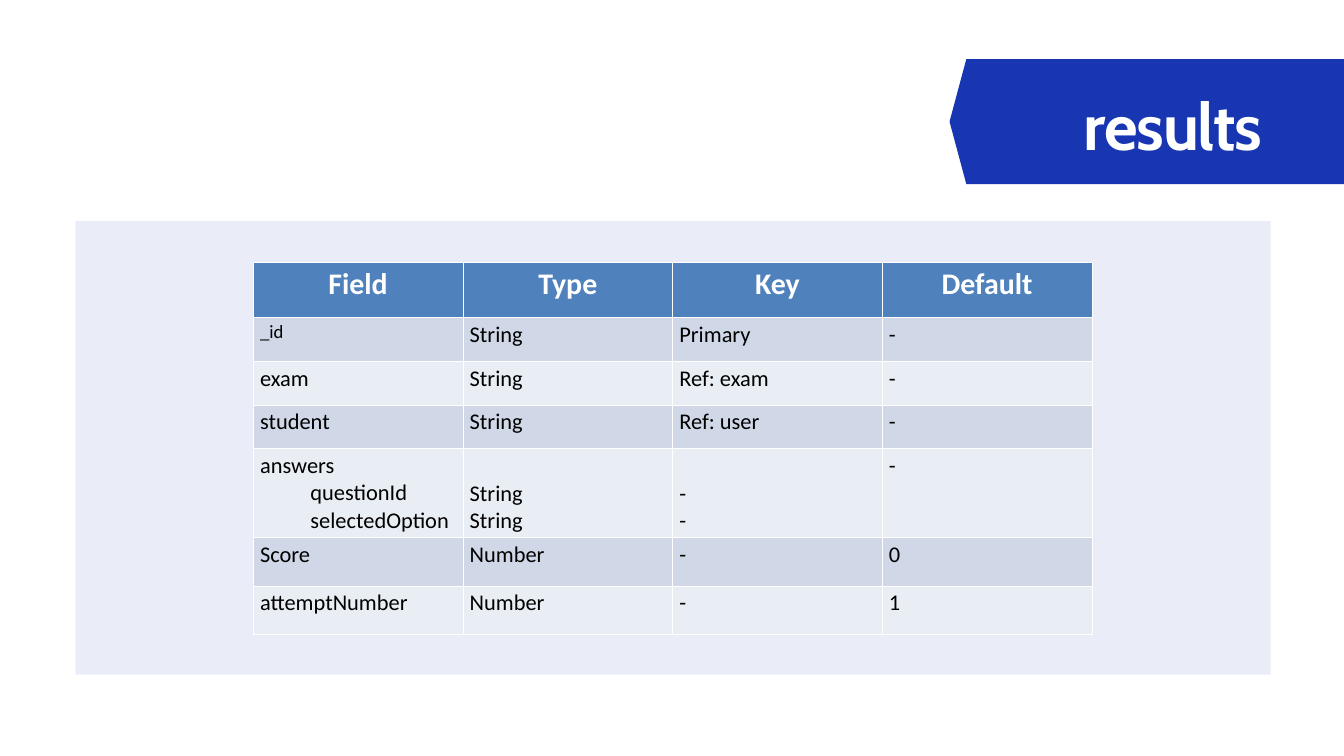
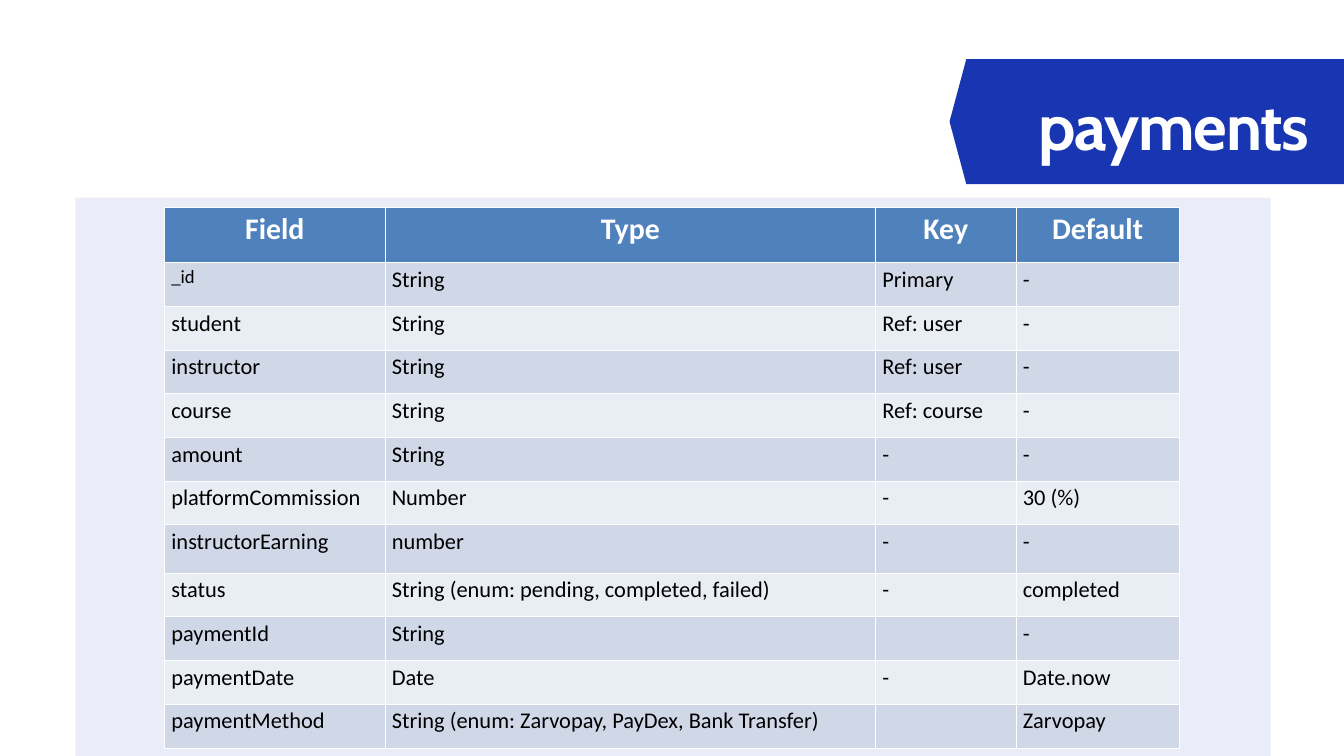
import pptx
import pptx.dml.color
import pptx.enum.shapes
import pptx.enum.text
import pptx.oxml
import pptx.oxml.ns
import pptx.slide
import pptx.table
import pptx.util
from dataclasses import dataclass

Inches = pptx.util.Inches
Pt = pptx.util.Pt
Align = pptx.enum.text.PP_ALIGN


# Colours, fonts and type sizes
@dataclass(frozen=True)
class Theme:
    brand: str = "1836B2"
    white: str = "FFFFFF"
    black: str = "000000"
    header_fill: str = "4F81BD"
    band_fills: tuple[str, str] = ("D0D8E8", "E9EDF4")
    panel_opacity: int = 9
    title_font: str = "Cabin"
    table_font: str = "Calibri"
    title_size: int = 70
    title_line: int = 98
    title_tracking: float = -1.4
    header_size: int = 32
    body_size: int = 24
    id_size: int = 20


THEME = Theme()
HEADINGS = ("Field", "Type", "Key", "Default")
HEADER_HEIGHT = 0.82
ROW_HEIGHT = 0.65
TALL_ROW = 0.72
LINE_HEIGHT = 0.41
CELL_MARGIN = 0.05
NESTED_INDENT = 0.75


@dataclass(frozen=True)
class FieldRow:
    name: str
    kind: str = ""
    key: str = "-"
    default: str = "-"
    height: float = ROW_HEIGHT
    nested: tuple["FieldRow", ...] = ()


@dataclass(frozen=True)
class Schema:
    title: str
    title_left: float
    panel_top: float
    panel_height: float
    table_left: float
    table_top: float
    columns: tuple[float, ...]
    rows: tuple[FieldRow, ...]


ID_ROW = FieldRow("_id", "String", "Primary")

SCHEMAS = (
    Schema(
        "results", 16.13, 3.29, 6.75, 3.77, 3.91, (3.12,) * 4,
        (
            ID_ROW,
            FieldRow("exam", "String", "Ref: exam"),
            FieldRow("student", "String", "Ref: user"),
            FieldRow("answers", key="", height=1.29, nested=(
                FieldRow("questionId", "String"),
                FieldRow("selectedOption", "String"),
            )),
            FieldRow("Score", "Number", default="0", height=TALL_ROW),
            FieldRow("attemptNumber", "Number", default="1", height=TALL_ROW),
        ),
    ),
    Schema(
        "payments", 15.46, 2.94, 8.31, 2.45, 3.09, (3.28, 7.3, 2.09, 2.43),
        (
            ID_ROW,
            FieldRow("student", "String", "Ref: user"),
            FieldRow("instructor", "String", "Ref: user"),
            FieldRow("course", "String", "Ref: course"),
            FieldRow("amount", "String"),
            FieldRow("platformCommission", "Number", default="30 (%)"),
            FieldRow("instructorEarning", "number", height=TALL_ROW),
            FieldRow("status", "String (enum: pending, completed, failed)",
                     default="completed"),
            FieldRow("paymentId", "String", key=""),
            FieldRow("paymentDate", "Date", default="Date.now"),
            FieldRow("paymentMethod", "String (enum: Zarvopay, PayDex, Bank Transfer)",
                     key="", default="Zarvopay"),
        ),
    ),
)


def rgb(value: str) -> pptx.dml.color.RGBColor:
    return pptx.dml.color.RGBColor.from_string(value)


def style_font(font, name: str, size: int, color: str, bold: bool) -> None:
    font.name, font.size, font.bold = name, Pt(size), bold
    font.color.rgb = rgb(color)


def paint(shape, color: str) -> None:
    shape.fill.solid()
    shape.fill.fore_color.rgb = rgb(color)
    shape.line.fill.background()
    shape.shadow.inherit = False


# Arrow-shaped tag behind the title, running off the right edge
def draw_title(page: pptx.slide.Slide, text: str, left: float) -> None:
    outline = ((14.38, 0.88), (20.79, 0.88), (21.04, 1.81),
               (20.79, 2.74), (14.38, 2.74), (14.13, 1.81))
    points = [(Inches(x), Inches(y)) for x, y in outline]
    builder = page.shapes.build_freeform(*points[0])
    builder.add_line_segments(points[1:], close=True)
    tag = builder.convert_to_shape()
    paint(tag, THEME.brand)

    title = page.shapes.title
    title.element.addprevious(tag.element)
    title.left, title.top = Inches(left), Inches(1.07)
    title.width, title.height = Inches(4.95), Inches(1.29)
    frame = title.text_frame
    frame.text = text
    frame.word_wrap = True
    frame.auto_size = pptx.enum.text.MSO_AUTO_SIZE.NONE
    frame.vertical_anchor = pptx.enum.text.MSO_ANCHOR.TOP
    frame.margin_left = frame.margin_right = frame.margin_top = frame.margin_bottom = 0
    para = frame.paragraphs[0]
    para.alignment = Align.LEFT
    para.line_spacing = Pt(THEME.title_line)
    span = para.runs[0]
    style_font(span.font, THEME.title_font, THEME.title_size, THEME.white, True)
    span.font.language_id = None
    span_properties = span.font._element
    span_properties.set("spc", str(round(THEME.title_tracking * 100)))


# Translucent panel behind the table
def draw_panel(page: pptx.slide.Slide, top: float, height: float) -> None:
    panel = page.shapes.add_shape(
        pptx.enum.shapes.MSO_SHAPE.RECTANGLE,
        Inches(1.12), Inches(top), Inches(17.79), Inches(height))
    paint(panel, THEME.brand)
    color = panel.element.spPr.find(".//" + pptx.oxml.ns.qn("a:srgbClr"))
    alpha = pptx.oxml.parse_xml(
        f'<a:alpha {pptx.oxml.ns.nsdecls("a")} val="{THEME.panel_opacity * 1000}"/>')
    color.append(alpha)


def fill_cell(cell: pptx.table._Cell, lines: list[str], fill: str, size: int,
              color: str, bold: bool = False, align=Align.LEFT) -> None:
    cell.fill.solid()
    cell.fill.fore_color.rgb = rgb(fill)
    cell.text_frame.text = "\n".join(lines)
    for para in cell.text_frame.paragraphs:
        para.alignment = align
        style_font(para.font, THEME.table_font, size, color, bold)
        for span in para.runs:
            style_font(span.font, THEME.table_font, size, color, bold)


def fill_row(table: pptx.table.Table, index: int, row: FieldRow) -> None:
    fill = THEME.band_fills[(index - 1) % 2]
    columns = [
        [row.name, *(child.name for child in row.nested)],
        [row.kind, *(child.kind for child in row.nested)],
        [row.key, *(child.key for child in row.nested)],
        [row.default],
    ]
    for column, lines in enumerate(columns):
        cell = table.cell(index, column)
        # Nested values start one line down, level with their names
        if row.nested and not lines[0]:
            lines = lines[1:]
            cell.margin_top = Inches(CELL_MARGIN + LINE_HEIGHT)
        size = THEME.id_size if lines == ["_id"] else THEME.body_size
        fill_cell(cell, lines, fill, size, THEME.black)
    for para in table.cell(index, 0).text_frame.paragraphs[1:]:
        para._p.get_or_add_pPr().set("marL", str(Inches(NESTED_INDENT)))


# Field table; the default table style supplies the white grid lines
def draw_table(page: pptx.slide.Slide, schema: Schema) -> None:
    heights = [HEADER_HEIGHT, *(row.height for row in schema.rows)]
    table = page.shapes.add_table(
        len(heights), len(HEADINGS),
        Inches(schema.table_left), Inches(schema.table_top),
        Inches(sum(schema.columns)), Inches(sum(heights))).table
    for column, width in zip(table.columns, schema.columns):
        column.width = Inches(width)
    for table_row, height in zip(table.rows, heights):
        table_row.height = Inches(height)
    for column, heading in enumerate(HEADINGS):
        fill_cell(table.cell(0, column), [heading], THEME.header_fill,
                  THEME.header_size, THEME.white, True, Align.CENTER)
    for index, row in enumerate(schema.rows, start=1):
        fill_row(table, index, row)


def main() -> None:
    deck = pptx.Presentation()
    deck.slide_width, deck.slide_height = Inches(20), Inches(11.25)
    title_only = deck.slide_layouts[5]
    for schema in SCHEMAS:
        page = deck.slides.add_slide(title_only)
        draw_title(page, schema.title, schema.title_left)
        draw_panel(page, schema.panel_top, schema.panel_height)
        draw_table(page, schema)
    deck.save("out.pptx")


if __name__ == "__main__":
    main()
